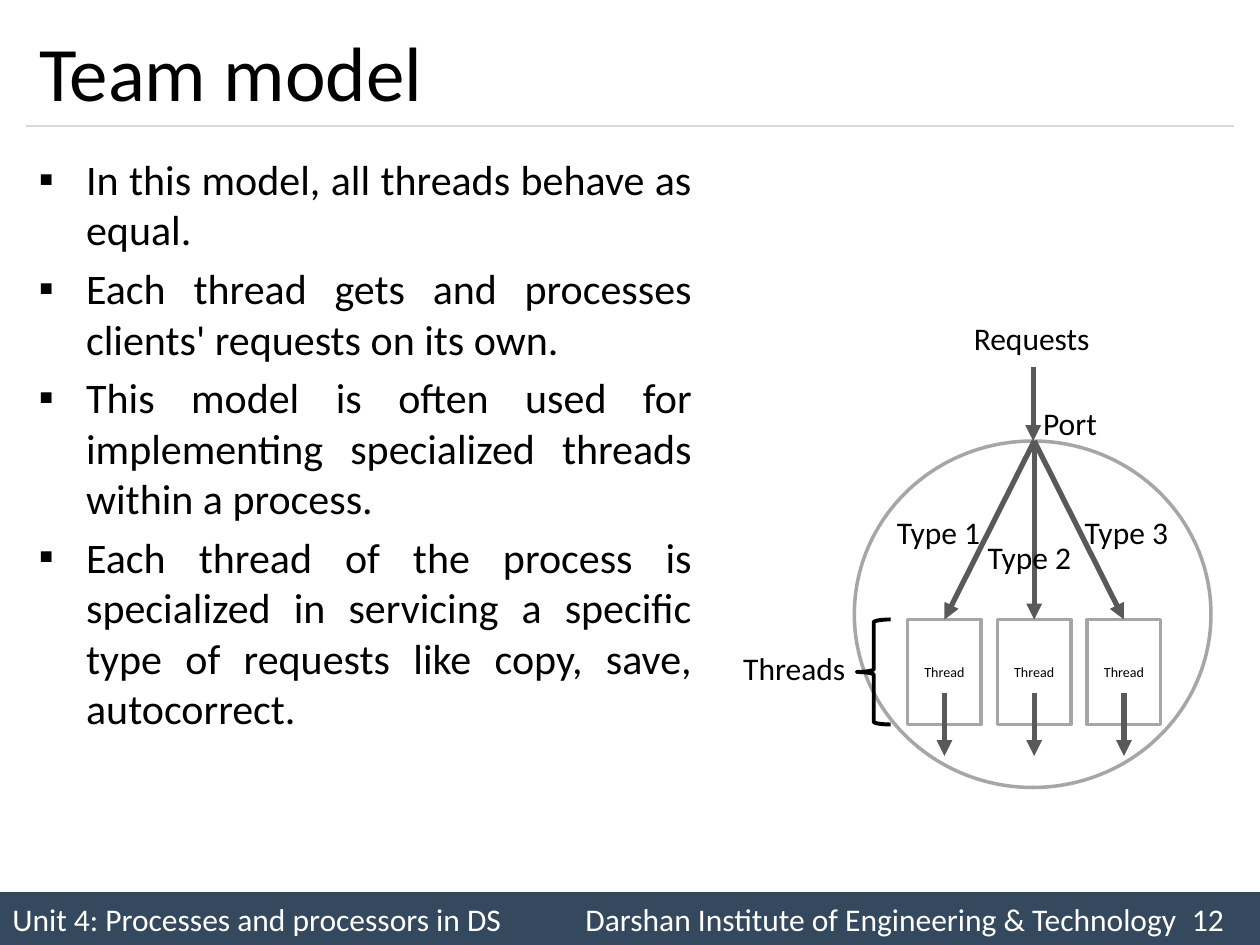
from dataclasses import dataclass

from lxml import etree
from pptx import Presentation
from pptx.dml.color import RGBColor
from pptx.enum.shapes import MSO_CONNECTOR, MSO_SHAPE
from pptx.enum.text import MSO_ANCHOR, PP_ALIGN
from pptx.oxml.ns import qn
from pptx.util import Pt

RECTANGLE = MSO_SHAPE.RECTANGLE
OVAL = MSO_SHAPE.OVAL
LEFT_BRACE = MSO_SHAPE.LEFT_BRACE
STRAIGHT = MSO_CONNECTOR.STRAIGHT
MIDDLE = MSO_ANCHOR.MIDDLE
TOP = MSO_ANCHOR.TOP
LEFT = PP_ALIGN.LEFT
CENTER = PP_ALIGN.CENTER
JUSTIFY = PP_ALIGN.JUSTIFY

FONT = "Calibri"
BLACK = "000000"
WHITE = "FFFFFF"
NAVY = "34495E"
RULE_GRAY = "D9D9D9"
OUTLINE_GRAY = "A6A6A6"
ARROW_GRAY = "595959"
TITLE_ONLY = 5


@dataclass(frozen=True)
class Box:
    left: float
    top: float
    width: float
    height: float

    def lengths(self) -> list:
        return [Pt(value) for value in (self.left, self.top, self.width, self.height)]


@dataclass(frozen=True)
class Label:
    text: str
    box: Box


@dataclass(frozen=True)
class Arrow:
    start_x: float
    start_y: float
    end_x: float
    end_y: float


BULLETS = (
    "In this model, all threads behave as equal.",
    "Each thread gets and processes clients' requests on its own.",
    "This model is often used for implementing specialized threads within a process.",
    "Each thread of the process is specialized in servicing a specific type of "
    "requests like copy, save, autocorrect.",
)
LABELS = (
    Label("Threads", Box(417.6, 367.2, 73.4, 28.8)),
    Label("Port", Box(589, 227.5, 45.4, 28.8)),
    Label("Requests", Box(549.4, 178.6, 81.4, 28.8)),
    Label("Type 1", Box(505.4, 289.4, 62.6, 28.8)),
    Label("Type 2", Box(557.3, 303.8, 62.6, 28.8)),
    Label("Type 3", Box(612.7, 289.4, 62.6, 28.8)),
)
PORT_X, PORT_Y = 591, 252
THREAD_PITCH = 51.3
THREAD_WIDTH, THREAD_HEIGHT, THREAD_TOP = 42, 60, 354
THREAD_CENTERS = [PORT_X + step * THREAD_PITCH for step in (-1, 0, 1)]


def color(value: str) -> RGBColor:
    return RGBColor.from_string(value)


def write(paragraph, text: str, *, size: float, fill: str = BLACK,
          align=LEFT, space_before: float = 0) -> None:
    paragraph.alignment = align
    paragraph.space_before = Pt(space_before)
    run = paragraph.add_run()
    run.text = text
    run.font.name = FONT
    run.font.size = Pt(size)
    run.font.color.rgb = color(fill)


def add_figure(slide, kind, box: Box, *, fill: str = "", line: str = "", weight: float = 2):
    shape = slide.shapes.add_shape(kind, *box.lengths())
    shape.shadow.inherit = False
    if fill:
        shape.fill.solid()
        shape.fill.fore_color.rgb = color(fill)
    else:
        shape.fill.background()
    if line:
        shape.line.color.rgb = color(line)
        shape.line.width = Pt(weight)
    else:
        shape.line.fill.background()
    shape.text_frame.vertical_anchor = MIDDLE
    return shape


def add_line(slide, arrow: Arrow, *, line: str = ARROW_GRAY, weight: float = 3,
             head: bool = True) -> None:
    points = (arrow.start_x, arrow.start_y, arrow.end_x, arrow.end_y)
    connector = slide.shapes.add_connector(STRAIGHT, *[Pt(value) for value in points])
    connector.line.color.rgb = color(line)
    connector.line.width = Pt(weight)
    if head:
        etree.SubElement(connector.line._get_or_add_ln(), qn("a:tailEnd"), type="triangle")
    etree.SubElement(connector._element.spPr, qn("a:effectLst"))


def add_text_frame(slide, box: Box, *, wrap: bool):
    frame = slide.shapes.add_textbox(*box.lengths()).text_frame
    frame.word_wrap = wrap
    frame.vertical_anchor = TOP
    return frame


def add_footer(slide) -> None:
    frame = add_figure(slide, RECTANGLE, Box(0, 509.8, 720, 30.2), fill=NAVY).text_frame
    paragraph = frame.paragraphs[0]
    write(paragraph, "Unit 4: Processes and processors in DS\t"
          "Darshan Institute of Engineering & Technology\t12", size=18, fill=WHITE)
    tabs = etree.SubElement(paragraph._p.get_or_add_pPr(), qn("a:tabLst"))
    for position, align in ((665.4, "r"), (674, "l")):
        etree.SubElement(tabs, qn("a:tab"), pos=str(int(Pt(position))), algn=align)


def add_title(slide) -> None:
    title = slide.shapes.title
    title.left, title.top, title.width, title.height = Box(15.1, 8.6, 689.8, 63.4).lengths()
    title.text_frame.vertical_anchor = MIDDLE
    write(title.text_frame.paragraphs[0], "Team model", size=44)


def add_bullets(slide) -> None:
    frame = add_text_frame(slide, Box(15.1, 84.2, 387.4, 419.8), wrap=True)
    for index, text in enumerate(BULLETS):
        paragraph = frame.add_paragraph() if index else frame.paragraphs[0]
        write(paragraph, text, size=24, align=JUSTIFY, space_before=4.8 if index else 0)
        properties = paragraph._p.get_or_add_pPr()
        properties.set("marL", str(int(Pt(27))))
        properties.set("indent", str(int(Pt(-27))))
        etree.SubElement(properties, qn("a:buFont"), typeface=FONT)
        etree.SubElement(properties, qn("a:buChar"), char="▪")


def add_diagram(slide) -> None:
    add_figure(slide, OVAL, Box(488.2, PORT_Y, 203.8, 198), fill=WHITE, line=OUTLINE_GRAY)
    for center in THREAD_CENTERS:
        box = Box(center - THREAD_WIDTH / 2, THREAD_TOP, THREAD_WIDTH, THREAD_HEIGHT)
        shape = add_figure(slide, RECTANGLE, box, fill=WHITE, line=OUTLINE_GRAY)
        write(shape.text_frame.paragraphs[0], "Thread", size=8, align=CENTER)
    add_figure(slide, LEFT_BRACE, Box(489.6, THREAD_TOP, 19.4, THREAD_HEIGHT),
               line=BLACK, weight=2.25)
    add_line(slide, Arrow(590.4, 210, 590.4, PORT_Y))
    for center in THREAD_CENTERS:
        add_line(slide, Arrow(PORT_X, PORT_Y, center, THREAD_TOP))
        add_line(slide, Arrow(center, 396, center, 432))
    for label in LABELS:
        frame = add_text_frame(slide, label.box, wrap=False)
        write(frame.paragraphs[0], label.text, size=18)


def main() -> None:
    presentation = Presentation()
    presentation.slide_width = Pt(720)
    presentation.slide_height = Pt(540)
    slide = presentation.slides.add_slide(presentation.slide_layouts[TITLE_ONLY])
    add_footer(slide)
    add_line(slide, Arrow(15.1, 72, 704.9, 72), line=RULE_GRAY, weight=0.75, head=False)
    add_title(slide)
    add_bullets(slide)
    add_diagram(slide)
    presentation.save("out.pptx")


if __name__ == "__main__":
    main()
